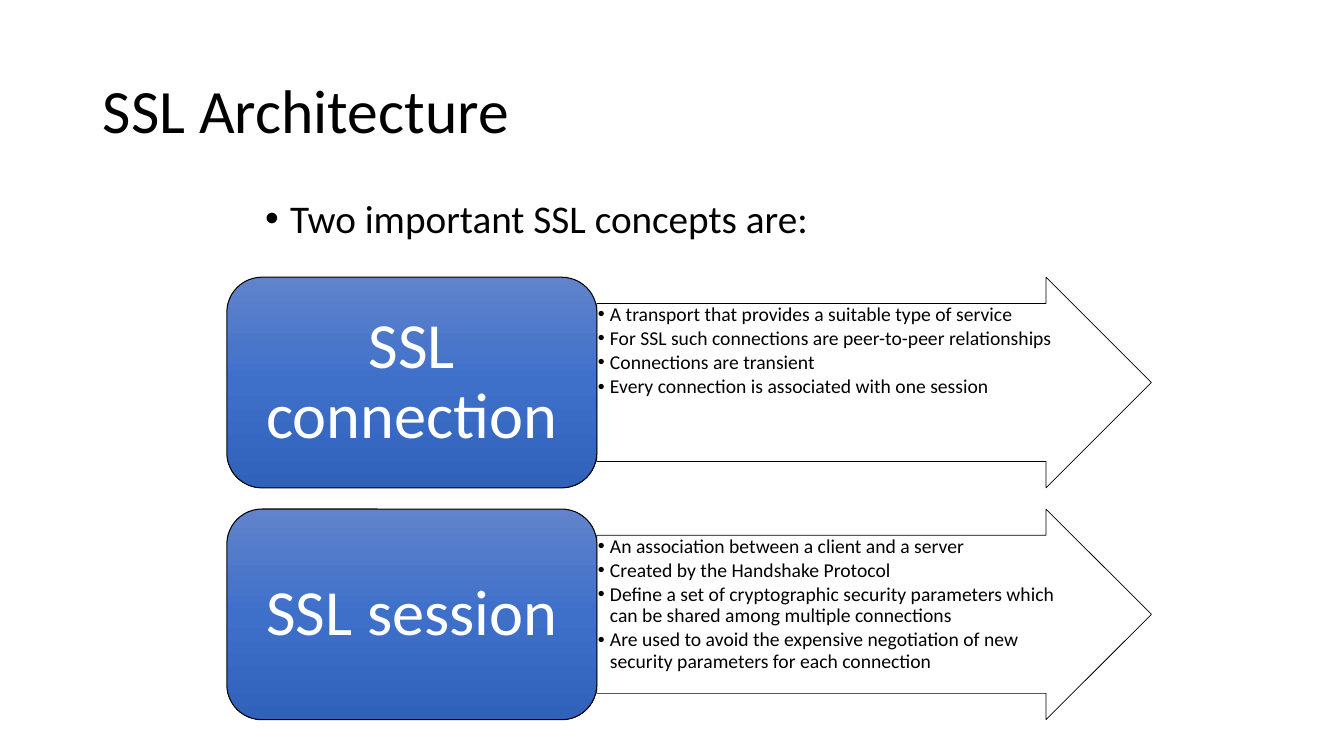
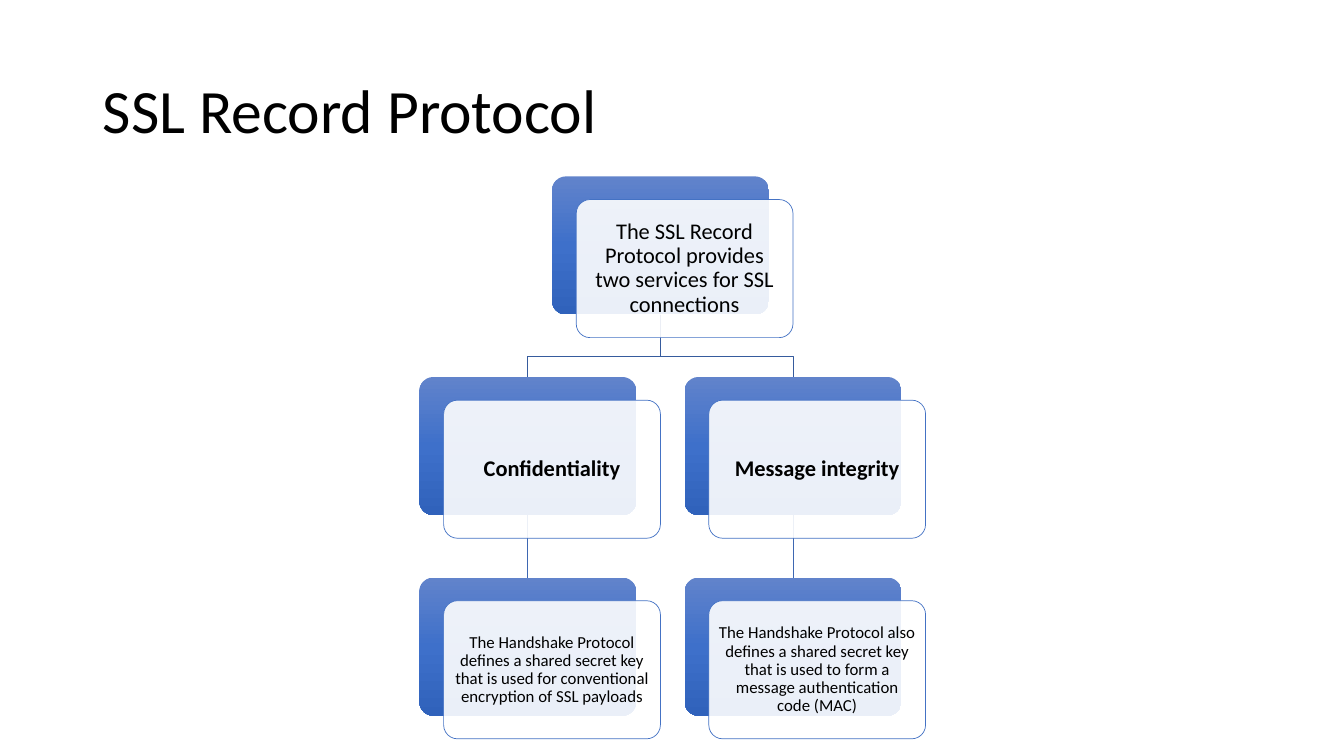
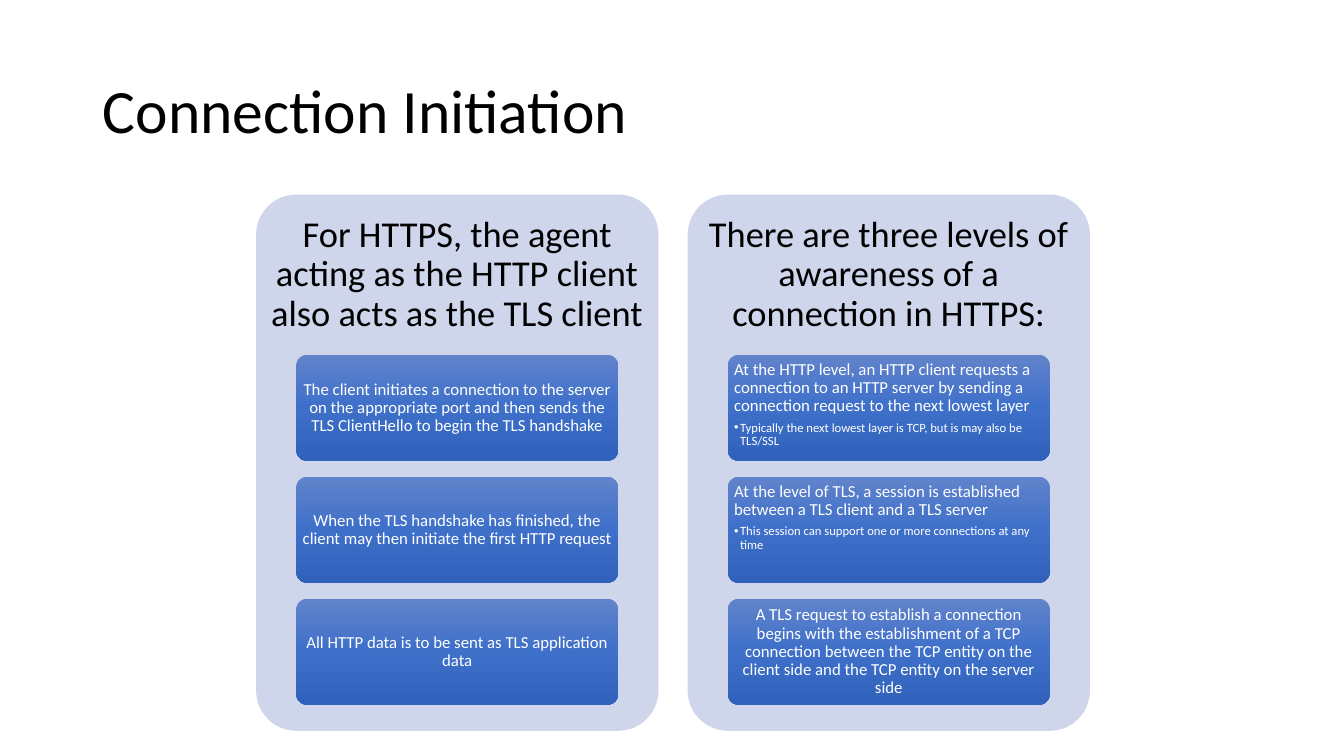
from copy import deepcopy
from dataclasses import dataclass

from lxml import etree
from pptx import Presentation
from pptx.dml.color import RGBColor
from pptx.enum.shapes import MSO_CONNECTOR, MSO_SHAPE
from pptx.enum.text import MSO_ANCHOR, MSO_AUTO_SIZE, PP_ALIGN
from pptx.oxml.ns import qn
from pptx.util import Inches, Pt

# Shared look
WIDTH, HEIGHT = 13.33, 7.5
FONT = "Calibri"
BLACK = RGBColor(0x00, 0x00, 0x00)
WHITE = RGBColor(0xFF, 0xFF, 0xFF)
BLUE = RGBColor(0x44, 0x72, 0xC4)
PALE = RGBColor(0xCF, 0xD5, 0xEA)
BRANCH = RGBColor(0x36, 0x5B, 0x9D)
TWIG = RGBColor(0x3E, 0x67, 0xB2)
SHADES = (
    (0, RGBColor(0x61, 0x83, 0xCB)),
    (0.5, RGBColor(0x3E, 0x70, 0xCA)),
    (1, RGBColor(0x30, 0x62, 0xBB)),
)
ROUND, ARROW = MSO_SHAPE.ROUNDED_RECTANGLE, MSO_SHAPE.RIGHT_ARROW
STRAIGHT = MSO_CONNECTOR.STRAIGHT
TOP, MIDDLE = MSO_ANCHOR.TOP, MSO_ANCHOR.MIDDLE
LEFT, CENTER = PP_ALIGN.LEFT, PP_ALIGN.CENTER
TITLE_ONLY = 5


@dataclass(frozen=True)
class Grid:
    """Cells of equal size, placed at a fixed pitch, in inches."""
    left: float
    top: float
    wide: float
    high: float
    across: float
    down: float

    def cell(self, col: float, row: float) -> tuple:
        return (self.left + col * self.across, self.top + row * self.down,
                self.wide, self.high)


@dataclass(frozen=True)
class Concept:
    name: str
    facts: tuple


@dataclass(frozen=True)
class Node:
    col: float
    row: int
    text: str
    size: int = 16
    bold: bool = False
    pad: float = 0.07


@dataclass(frozen=True)
class Step:
    text: str
    note: str = ""


@dataclass(frozen=True)
class Panel:
    head: str
    steps: tuple


# Shared drawing functions
def put(frame, text: str, *, size: float, color=BLACK, bold=False,
        align=LEFT, hang=0.0, level=0, after=0.0) -> None:
    """Write one paragraph; a hanging indent gives it a bullet."""
    para = frame.paragraphs[0]
    if para.runs:
        para = frame.add_paragraph()
    para.alignment, para.level = align, level
    para.line_spacing, para.space_before = 0.9, Pt(0)
    para.space_after = Pt(after)
    run = para.add_run()
    run.text = text
    font = run.font
    font.name, font.size, font.bold = FONT, Pt(size), bold
    font.color.rgb = color
    if hang:
        props = para._p.get_or_add_pPr()
        props.set("marL", str(Inches(hang)))
        props.set("indent", str(-Inches(hang)))
        etree.SubElement(props, qn("a:buFont")).set("typeface", "Arial")
        etree.SubElement(props, qn("a:buChar")).set("char", "•")


def setup(frame, anchor, pad_x: float, pad_y: float):
    frame.word_wrap, frame.auto_size = True, MSO_AUTO_SIZE.NONE
    frame.vertical_anchor = anchor
    frame.margin_left = frame.margin_right = Inches(pad_x)
    frame.margin_top = frame.margin_bottom = Inches(pad_y)
    return frame


def label(slide, box: tuple, anchor=TOP, pad_x=0.1, pad_y=0.05):
    area = slide.shapes.add_textbox(*map(Inches, box))
    return setup(area.text_frame, anchor, pad_x, pad_y)


def shade(shape) -> None:
    """Fill with the three-stop blue gradient, from top to bottom."""
    shape.fill.gradient()
    shape.fill.gradient_angle = 270
    stops = shape._element.spPr.find(qn("a:gradFill")).find(qn("a:gsLst"))
    stops.insert(1, deepcopy(stops[0]))
    for stop, (place, color) in zip(shape.fill.gradient_stops, SHADES):
        stop.position, stop.color.rgb = place, color


def block(slide, kind, box: tuple, *, fill=None, line=None, weight=0.5,
          adjust=(0.1,)):
    """Draw a preset shape; without a fill it takes the gradient."""
    shape = slide.shapes.add_shape(kind, *map(Inches, box))
    shape.shadow.inherit = False
    for i, value in enumerate(adjust):
        shape.adjustments[i] = value
    if fill is None:
        shade(shape)
    else:
        shape.fill.solid()
        shape.fill.fore_color.rgb = fill
    if line is None:
        shape.line.fill.background()
    else:
        shape.line.color.rgb, shape.line.width = line, Pt(weight)
    return shape


def fade(shape, percent: int) -> None:
    color = shape._element.spPr.find(qn("a:solidFill"))[0]
    etree.SubElement(color, qn("a:alpha")).set("val", str(percent * 1000))


def twig(slide, x: float, start: float, end: float) -> None:
    line = slide.shapes.add_connector(
        STRAIGHT, *map(Inches, (x, start, x, end)))
    line.line.color.rgb, line.line.width = TWIG, Pt(0.5)
    etree.SubElement(line._element.spPr, qn("a:effectLst"))


def branch(slide, *points: tuple) -> None:
    first, *rest = [(Inches(x), Inches(y)) for x, y in points]
    path = slide.shapes.build_freeform(*first)
    path.add_line_segments(rest, close=False)
    shape = path.convert_to_shape()
    shape.shadow.inherit = False
    shape.fill.background()
    shape.line.color.rgb, shape.line.width = BRANCH, Pt(0.5)


def page(deck, text: str):
    slide = deck.slides.add_slide(deck.slide_layouts[TITLE_ONLY])
    title = slide.shapes.title
    title.left, title.top = Inches(0.92), Inches(0.4)
    title.width, title.height = Inches(11.5), Inches(1.45)
    put(setup(title.text_frame, MIDDLE, 0.1, 0.05), text, size=44)
    return slide


# Slide 1: two concepts, each with an arrow of facts
CONCEPTS = (
    Concept("SSL connection", (
        "A transport that provides a suitable type of service",
        "For SSL such connections are peer-to-peer relationships",
        "Connections are transient",
        "Every connection is associated with one session")),
    Concept("SSL session", (
        "An association between a client and a server",
        "Created by the Handshake Protocol",
        "Define a set of cryptographic security parameters which can be "
        "shared among multiple connections",
        "Are used to avoid the expensive negotiation of new security "
        "parameters for each connection")),
)


def concepts(deck) -> None:
    slide = page(deck, "SSL Architecture")
    put(label(slide, (2.53, 1.93, 8.28, 0.7)),
        "Two important SSL concepts are:", size=28, hang=0.25)
    names = Grid(2.25, 2.75, 3.67, 2.09, 3.67, 2.3)
    for row, item in enumerate(CONCEPTS):
        left, top, _, high = names.cell(1, row)
        arrow = block(slide, ARROW, (left, top, 5.5, high), fill=WHITE,
                      line=BLACK, adjust=(0.75, 0.5))
        frame = setup(arrow.text_frame, TOP, 0.01, 0.01)
        for fact in item.facts:
            put(frame, fact, size=14, hang=0.12, level=1, after=2.1)
        name = block(slide, ROUND, names.cell(0, row), line=BLACK,
                     weight=0.75, adjust=())
        put(setup(name.text_frame, MIDDLE, 0.19, 0.1), item.name,
            size=46, color=WHITE, align=CENTER)


# Slide 2: tree of services
NODES = (
    Node(0.5, 0, "The SSL Record Protocol provides two services for SSL "
         "connections"),
    Node(0, 1, "Confidentiality", bold=True),
    Node(0, 2, "The Handshake Protocol defines a shared secret key that is "
         "used for conventional encryption of SSL payloads", 12, pad=0.05),
    Node(1, 1, "Message integrity", bold=True),
    Node(1, 2, "The Handshake Protocol also defines a shared secret key that "
         "is used to form a message authentication code (MAC)", 12, pad=0.05),
)


def tree(deck) -> None:
    slide = page(deck, "SSL Record Protocol")
    grid = Grid(4.16, 1.75, 2.15, 1.37, 2.63, 1.99)
    shift_x, shift_y = 0.24, 0.23

    def mid(col: float) -> float:
        return grid.cell(col, 0)[0] + grid.wide / 2

    tops = [grid.cell(0, row)[1] for row in range(3)]
    bend = tops[1] - 0.2
    for col in (1, 0):
        twig(slide, mid(col), tops[1] + grid.high, tops[2])
        branch(slide, (mid(0.5), tops[0] + grid.high), (mid(0.5), bend),
               (mid(col), bend), (mid(col), tops[1]))
    for node in NODES:
        left, top, wide, high = grid.cell(node.col, node.row)
        block(slide, ROUND, (left, top, wide, high))
        card = block(slide, ROUND, (left + shift_x, top + shift_y, wide, high),
                     fill=WHITE, line=BLUE)
        fade(card, 90)
        put(setup(card.text_frame, MIDDLE, node.pad, node.pad), node.text,
            size=node.size, bold=node.bold, align=CENTER)


# Slide 3: two panels of steps
PANELS = (
    Panel("For HTTPS, the agent acting as the HTTP client also acts as the "
          "TLS client", (
              Step("The client initiates a connection to the server on the "
                   "appropriate port and then sends the TLS ClientHello to "
                   "begin the TLS handshake"),
              Step("When the TLS handshake has finished, the client may then "
                   "initiate the first HTTP request"),
              Step("All HTTP data is to be sent as TLS application data"))),
    Panel("There are three levels of awareness of a connection in HTTPS:", (
        Step("At the HTTP level, an HTTP client requests a connection to an "
             "HTTP server by sending a connection request to the next lowest "
             "layer",
             "Typically the next lowest layer is TCP, but is may also be "
             "TLS/SSL"),
        Step("At the level of TLS, a session is established between a TLS "
             "client and a TLS server",
             "This session can support one or more connections at any time"),
        Step("A TLS request to establish a connection begins with the "
             "establishment of a TCP connection between the TCP entity on "
             "the client side and the TCP entity on the server side"))),
)


def panels(deck) -> None:
    slide = page(deck, "Connection Initiation")
    outer = Grid(2.54, 1.93, 3.99, 5.32, 4.28, 0)
    inner = Grid(2.94, 3.52, 3.19, 1.05, 4.28, 1.21)
    for col, panel in enumerate(PANELS):
        box = outer.cell(col, 0)
        block(slide, ROUND, box, fill=PALE)
        put(label(slide, (*box[:3], 1.6), MIDDLE, 0.11, 0.11), panel.head,
            size=26, align=CENTER)
        for row, step in enumerate(panel.steps):
            card = block(slide, ROUND, inner.cell(col, row))
            frame = setup(card.text_frame, TOP if step.note else MIDDLE,
                          0.03, 0.03)
            put(frame, step.text, size=12, color=WHITE,
                align=LEFT if step.note else CENTER,
                after=4.2 if step.note else 0)
            if step.note:
                put(frame, step.note, size=9, color=WHITE, hang=0.06, level=1)


def main() -> None:
    deck = Presentation()
    deck.slide_width, deck.slide_height = Inches(WIDTH), Inches(HEIGHT)
    for draw in (concepts, tree, panels):
        draw(deck)
    deck.save("out.pptx")


if __name__ == "__main__":
    main()
